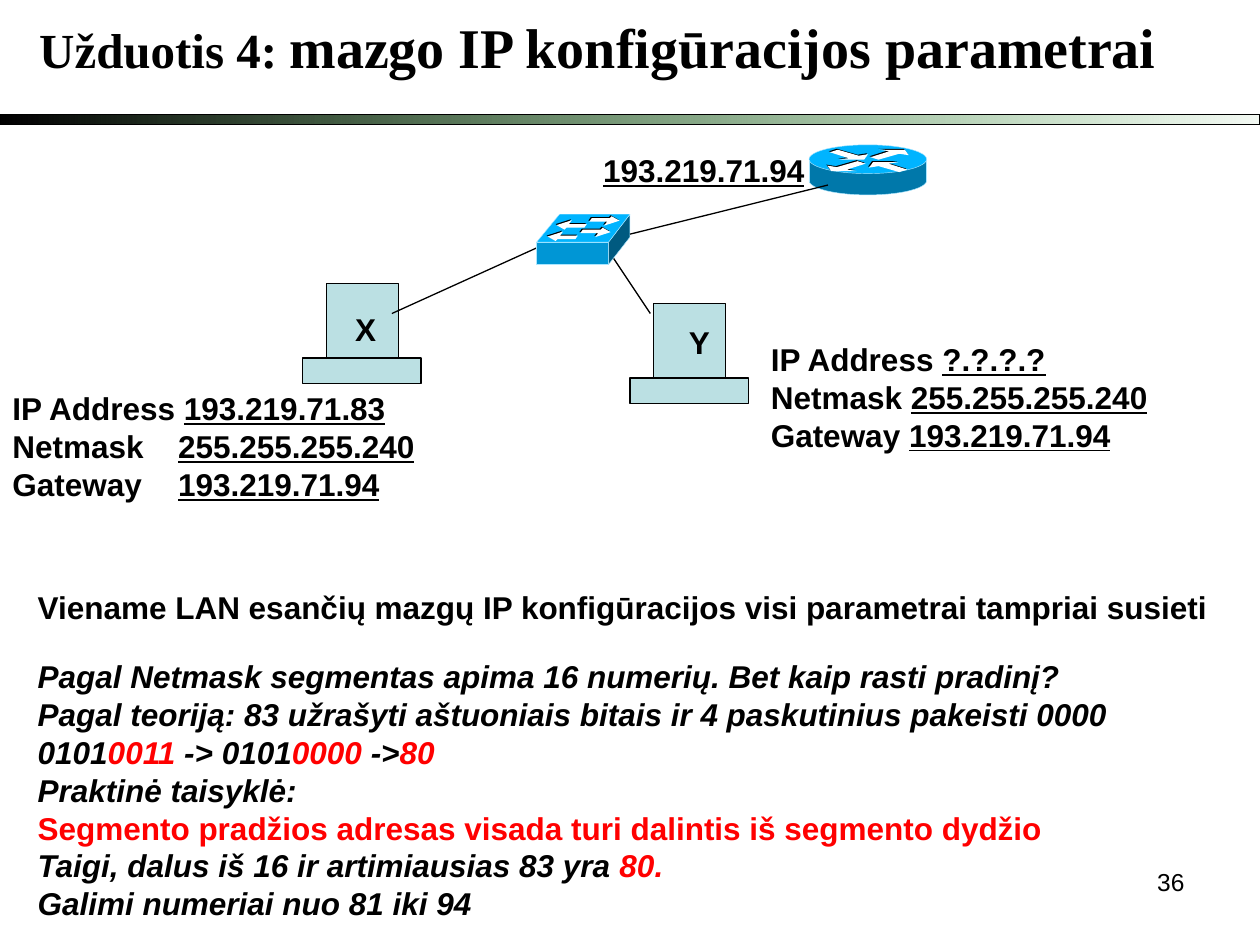
from dataclasses import dataclass
from typing import NamedTuple

from lxml.etree import SubElement
from pptx import Presentation
from pptx.dml.color import RGBColor
from pptx.enum.shapes import MSO_CONNECTOR, MSO_SHAPE
from pptx.enum.text import MSO_ANCHOR, MSO_AUTO_SIZE, PP_ALIGN
from pptx.oxml.ns import qn
from pptx.util import Cm, Pt


@dataclass(frozen=True)
class Theme:
    black: str = "000000"
    white: str = "FFFFFF"
    red: str = "FF0000"
    green: str = "008000"
    host: str = "BBE0E3"
    light: str = "00B4FF"
    front: str = "0096D5"
    side: str = "005A80"
    body: str = "0078AA"
    edge: str = "AAE6FF"
    sans: str = "Arial"
    serif: str = "Times New Roman"
    small: int = 14
    text: int = 18
    title: int = 28
    title_big: int = 32
    line: float = 0.75
    thin: float = 0.25


T = Theme()


class Run(NamedTuple):
    text: str
    fmt: dict = {}
    color: str = T.black


class Label(NamedTuple):
    box: tuple
    lines: list
    tab: float = 0


class Arrow(NamedTuple):
    x: float
    y: float
    flip_x: bool = False
    flip_y: bool = False


BOLD = {"name": T.sans, "size": Pt(T.text), "bold": True}
UNDER = BOLD | {"underline": True}
ITALIC = BOLD | {"italic": True}
PLAIN = {"name": T.sans, "size": Pt(T.small)}
TITLE = {"name": T.serif, "size": Pt(T.title), "bold": True}


def paint(sp, fill: str, line: str | None = None, width: float = T.line) -> None:
    sp.shadow.inherit = False
    sp.fill.solid()
    sp.fill.fore_color.rgb = RGBColor.from_string(fill)
    if line:
        sp.line.color.rgb = RGBColor.from_string(line)
        sp.line.width = Pt(width)
    else:
        sp.line.fill.background()


def add_block(shapes, kind, box: tuple, fill: str, line: str | None = None,
              width: float = T.line):
    sp = shapes.add_shape(kind, *map(Cm, box))
    paint(sp, fill, line, width)
    return sp


def add_polygon(shapes, points: list, fill: str, line: str | None = None,
                width: float = T.line) -> None:
    start, *rest = [(Cm(x), Cm(y)) for x, y in points]
    builder = shapes.build_freeform(*start)
    builder.add_line_segments(rest, close=True)
    paint(builder.convert_to_shape(), fill, line, width)


def add_line(shapes, ends: tuple, color: str = T.black, width: float = T.line) -> None:
    cn = shapes.add_connector(MSO_CONNECTOR.STRAIGHT, *map(Cm, ends))
    cn.line.color.rgb = RGBColor.from_string(color)
    cn.line.width = Pt(width)
    SubElement(cn._element.spPr, qn("a:effectLst"))


def add_arrows(shapes, outline: list, arrows: list) -> None:
    """Draw every arrow in black, then again in white, slightly shifted."""
    w, h = (max(axis) for axis in zip(*outline))
    for color, shift in ((T.black, 0), (T.white, 0.02)):
        for a in arrows:
            points = [(a.x + shift + (w - x if a.flip_x else x),
                       a.y + shift + (h - y if a.flip_y else y)) for x, y in outline]
            add_polygon(shapes, points, color)


def fill_text(tf, lines: list, align=PP_ALIGN.LEFT, tab: float = 0) -> None:
    tf.word_wrap = False
    tf.auto_size = MSO_AUTO_SIZE.SHAPE_TO_FIT_TEXT
    tf.vertical_anchor = MSO_ANCHOR.TOP
    for i, line in enumerate(lines):
        p = tf.add_paragraph() if i else tf.paragraphs[0]
        p.alignment = align
        if tab:
            tabs = SubElement(p._p.get_or_add_pPr(), qn("a:tabLst"))
            SubElement(tabs, qn("a:tab"), pos=str(Cm(tab)), algn="l")
        for run in line:
            r = p.add_run()
            r.text = run.text
            r.font.color.rgb = RGBColor.from_string(run.color)
            for key, value in run.fmt.items():
                setattr(r.font, key, value)


def add_label(shapes, label: Label, align=PP_ALIGN.LEFT) -> None:
    tb = shapes.add_textbox(*map(Cm, label.box))
    fill_text(tb.text_frame, label.lines, align, label.tab)


def add_title(s) -> None:
    sp = s.shapes.title
    sp.left, sp.top, sp.width, sp.height = map(Cm, (0.51, 0.13, 23.09, 1.63))
    fill_text(sp.text_frame, [[
        Run("Užduotis 4: ", TITLE),
        Run("mazgo IP konfigūracijos parametrai", TITLE | {"size": Pt(T.title_big)}),
    ]], PP_ALIGN.CENTER)


def add_bar(shapes) -> None:
    sp = add_block(shapes, MSO_SHAPE.RECTANGLE, (0, 2.31, 25.4, 0.2), T.black, T.black)
    sp.fill.gradient()
    sp.fill.gradient_angle = 0
    for stop, color in zip(sp.fill.gradient_stops, (T.black, T.green)):
        stop.color.rgb = RGBColor.from_string(color)
    end = sp._element.findall(".//" + qn("a:gs"))[-1]
    SubElement(end[0], qn("a:alpha"), val="5000")


def add_host(shapes, x: float, y: float) -> None:
    g = shapes.add_group_shape().shapes
    for box in ((x + 0.48, y, 1.45, 1.5), (x, y + 1.5, 2.39, 0.51)):
        add_block(g, MSO_SHAPE.RECTANGLE, box, T.host, T.black)


def add_switch(shapes) -> None:
    g = shapes.add_group_shape().shapes
    left, mid, right = 10.82, 12.27, 12.7
    back, top, bottom = 4.32, 4.88, 5.33
    add_block(g, MSO_SHAPE.RECTANGLE, (left, top, mid - left, bottom - top),
              T.front, T.edge, T.thin)
    add_polygon(g, [(mid, top), (right, back), (right, 4.78), (mid, bottom)],
                T.side, T.edge, T.thin)
    add_polygon(g, [(mid, top), (right, back), (11.28, back), (left, top)],
                T.light, T.edge, T.thin)
    outline = [(0.05, 0.04), (0, 0.11), (0.36, 0.11), (0.3, 0.19),
               (0.61, 0.09), (0.45, 0), (0.41, 0.04)]
    add_arrows(g, outline, [Arrow(11.68, 4.57), Arrow(11.86, 4.34),
                            Arrow(11.02, 4.65, True, True), Arrow(11.2, 4.42, True, True)])


def add_router(shapes) -> None:
    g = shapes.add_group_shape().shapes
    x, w = 16.31, 2.37
    add_block(g, MSO_SHAPE.OVAL, (x, 3.35, w, 0.58), T.body, T.edge, T.thin)
    add_block(g, MSO_SHAPE.RECTANGLE, (x, 3.23, w, 0.43), T.body)
    add_block(g, MSO_SHAPE.OVAL, (x, 2.92, w, 0.58), T.light, T.edge, T.thin)
    outline = [(0, 0.15), (0.16, 0.2), (0.58, 0.08), (0.77, 0.11),
               (0.69, 0), (0.18, 0), (0.38, 0.03)]
    add_arrows(g, outline, [Arrow(17.53, 3), Arrow(16.66, 3.23, True, True),
                            Arrow(16.71, 3, False, True), Arrow(17.5, 3.25, True)])
    for side in (x, x + w):
        add_line(g, (side, 3.23, side, 3.66), T.edge, T.thin)


def settings(address: str, gap: str) -> list:
    rows = (("IP Address ", address), ("Netmask" + gap, "255.255.255.240"),
            ("Gateway" + gap, "193.219.71.94"))
    return [[Run(name, BOLD), Run(value, UNDER)] for name, value in rows]


LABELS = [
    Label((0, 7.72, 8.61, 2.54), settings("193.219.71.83", "\t"), tab=3.34),
    Label((6.91, 6.12, 0.91, 1.02), [[Run("X", BOLD)]]),
    Label((13.64, 6.38, 0.91, 1.02), [[Run("Y", BOLD)]]),
    Label((15.29, 6.73, 8.1, 2.54), settings("?.?.?.?", " ")),
    Label((0.51, 11.73, 24.1, 1.02), [[Run(
        "Viename LAN esančių mazgų IP konfigūracijos visi parametrai tampriai susieti", BOLD)]]),
    Label((11.91, 2.92, 4.57, 1.02), [[Run("193.219.71.94", UNDER)]]),
    Label((0.51, 13.13, 22.07, 5.59), [
        [Run("Pagal Netmask segmentas apima 16 numerių. Bet kaip rasti pradinį?", ITALIC)],
        [Run("Pagal teoriją: 83 užrašyti aštuoniais bitais ir 4 paskutinius pakeisti 0000",
             ITALIC)],
        [Run("0101", ITALIC), Run("0011", ITALIC, T.red), Run(" -> 0101", ITALIC),
         Run("0000", ITALIC, T.red), Run(" ->", ITALIC), Run("80", ITALIC, T.red)],
        [Run("Praktinė taisyklė:", ITALIC)],
        [Run("Segmento pradžios adresas visada turi dalintis iš segmento dydžio",
             BOLD, T.red)],
        [Run("Taigi, dalus iš 16 ir artimiausias 83 yra", ITALIC),
         Run(" 80.", ITALIC, T.red)],
        [Run("Galimi numeriai nuo 81 iki 94", ITALIC)],
    ]),
]


def main() -> None:
    prs = Presentation()
    prs.slide_width, prs.slide_height = Cm(25.4), Cm(19.05)
    s = prs.slides.add_slide(prs.slide_layouts[5])
    add_title(s)
    add_bar(s.shapes)
    for corner in ((6.1, 5.72), (12.7, 6.12)):
        add_host(s.shapes, *corner)
    for ends in ((11.43, 4.72, 7.9, 6.32), (11.91, 4.52, 13.11, 6.32)):
        add_line(s.shapes, ends)
    add_switch(s.shapes)
    add_router(s.shapes)
    add_line(s.shapes, (12.7, 4.72, 16.69, 3.73))
    for label in LABELS:
        add_label(s.shapes, label)
    add_label(s.shapes, Label((18.21, 17.35, 5.92, 1.32), [[Run("36", PLAIN)]]),
              PP_ALIGN.RIGHT)
    prs.save("out.pptx")


if __name__ == "__main__":
    main()
